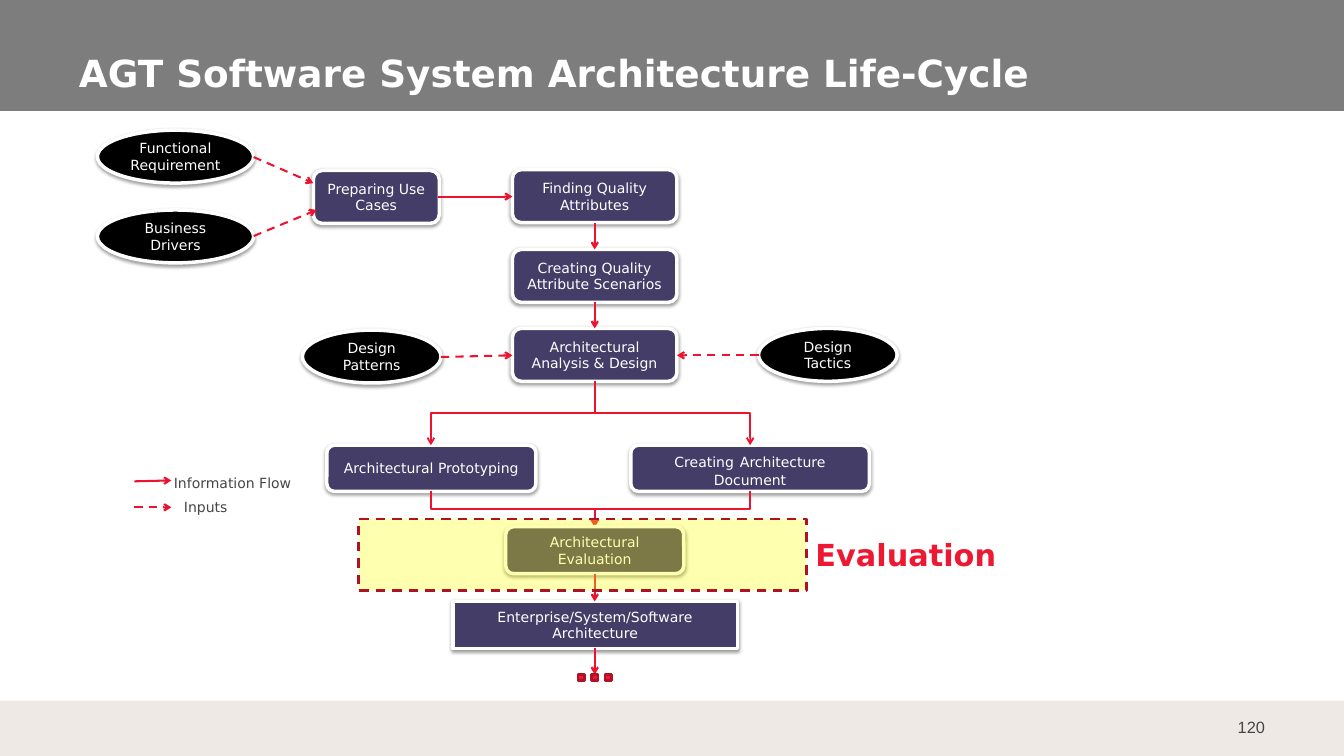
from lxml.etree import SubElement
from pptx import Presentation
from pptx.dml.color import RGBColor
from pptx.enum.dml import MSO_LINE
from pptx.enum.shapes import MSO_CONNECTOR, MSO_SHAPE
from pptx.enum.text import MSO_ANCHOR, MSO_AUTO_SIZE, PP_ALIGN
from pptx.oxml.ns import qn
from pptx.util import Inches, Pt

WHITE, BLACK, GREY, PURPLE = "FFFFFF", "000000", "464646", "443D67"
ARROW, RED, DARK_RED = "ED132E", "ED1933", "AF1226"
AXIS = 7.08  # centre of the main column


def color(code):
    return RGBColor.from_string(code)


class LifeCycleSlide:
    font = "DejaVu Sans"

    def __init__(self, deck):
        self.slide = deck.slides.add_slide(deck.slide_layouts[5])
        self.shapes = self.slide.shapes

    def set_text(self, frame, lines, size, code, bold=False, align=PP_ALIGN.LEFT, font=None):
        for index, line in enumerate(lines):
            para = frame.paragraphs[0] if index == 0 else frame.add_paragraph()
            para.text = line
            para.alignment = align
            para.font.name = font or self.font
            para.font.size = Pt(size)
            para.font.bold = bold
            para.font.color.rgb = color(code)

    def title(self, text, left, top, width, height):
        box = self.shapes.title
        box.left, box.top, box.width, box.height = map(Inches, (left, top, width, height))
        frame = box.text_frame
        frame.auto_size = MSO_AUTO_SIZE.NONE
        frame.vertical_anchor = MSO_ANCHOR.BOTTOM
        frame.margin_left = frame.margin_right = Inches(0.14)
        frame.margin_top = frame.margin_bottom = Inches(0.07)
        self.set_text(frame, [text], 32, WHITE, bold=True)
        self.shapes.element.append(box.element)  # in front of the header band

    def shape(self, kind, left, top, width, height, fill, line=None, line_width=2, group=None):
        shape = (group or self.slide).shapes.add_shape(
            kind, *map(Inches, (left, top, width, height)))
        shape.shadow.inherit = False
        shape.fill.solid()
        shape.fill.fore_color.rgb = color(fill)
        if line:
            shape.line.color.rgb = color(line)
            shape.line.width = Pt(line_width)
        else:
            shape.line.fill.background()
        return shape

    def node(self, kind, left, top, width, height, fill, *lines):
        shape = self.shape(kind, left, top, width, height, fill, WHITE, 3)
        effects = shape.element.spPr.find(qn("a:effectLst"))
        shadow = SubElement(effects, qn("a:outerShdw"), blurRad=str(Pt(3.1)),
                            dist=str(Pt(1.6)), dir="5400000", rotWithShape="0")
        shade = SubElement(shadow, qn("a:srgbClr"), val=BLACK)
        SubElement(shade, qn("a:alpha"), val="38000")
        shape.text_frame.vertical_anchor = MSO_ANCHOR.MIDDLE
        self.set_text(shape.text_frame, lines, 12, WHITE, align=PP_ALIGN.CENTER)
        return shape

    def step(self, left, top, width, height, *lines):
        return self.node(MSO_SHAPE.ROUNDED_RECTANGLE, left, top, width, height, PURPLE, *lines)

    def label(self, left, top, width, height, text, size, code, margins=(0, 0),
              bold=False, align=PP_ALIGN.LEFT, font=None, anchor=MSO_ANCHOR.TOP):
        box = self.shapes.add_textbox(*map(Inches, (left, top, width, height)))
        frame = box.text_frame
        frame.margin_left = frame.margin_right = Inches(margins[0])
        frame.margin_top = frame.margin_bottom = Inches(margins[1])
        frame.vertical_anchor = anchor
        # Right-aligned text needs the full box width
        frame.word_wrap = align == PP_ALIGN.RIGHT
        self.set_text(frame, [text], size, code, bold, align, font)

    def arrow(self, x1, y1, x2, y2, width=1.75, dashed=False, kind=MSO_CONNECTOR.STRAIGHT):
        connector = self.shapes.add_connector(kind, *map(Inches, (x1, y1, x2, y2)))
        connector.line.color.rgb = color(ARROW)
        connector.line.width = Pt(width)
        if dashed:
            connector.line.dash_style = MSO_LINE.DASH
        properties = connector.element.spPr
        SubElement(properties.find(qn("a:ln")), qn("a:tailEnd"), type="arrow")
        SubElement(properties, qn("a:effectLst"))
        return connector

    def elbow(self, x1, y1, x2, y2, width):
        """Arrow that runs down, across and down: a turned elbow connector."""
        run, rise = y2 - y1, abs(x2 - x1)
        left, top = (x1 + x2 - run) / 2, (y1 + y2 - rise) / 2
        connector = self.arrow(left, top, left + run, top + rise, width,
                               kind=MSO_CONNECTOR.ELBOW)
        frame = connector.element.spPr.find(qn("a:xfrm"))
        if x2 < x1:
            frame.set("rot", "5400000")
        else:
            frame.set("rot", "16200000")
            frame.set("flipH", "1")


def main():
    deck = Presentation()
    deck.slide_width, deck.slide_height = Inches(16), Inches(9)
    page = LifeCycleSlide(deck)

    # Header, footer and title
    page.shape(MSO_SHAPE.RECTANGLE, -0.02, 0, 16.05, 1.32, "7D7D7D")
    page.shape(MSO_SHAPE.RECTANGLE, 0, 8.34, 16, 0.66, "EFE9E5")
    page.label(14.4, 8.42, 0.8, 0.48, "120", 14, GREY, (0.14, 0.07),
               align=PP_ALIGN.RIGHT, font="Arial", anchor=MSO_ANCHOR.MIDDLE)
    page.title("AGT Software System Architecture Life-Cycle", 0.8, 0.46, 14.21, 0.74)

    # Inputs
    for left, top, width, text in (
            (1.16, 1.55, 1.86, "Functional Requirement"),
            (1.16, 2.5, 1.86, "Business Drivers"),
            (3.6, 3.93, 1.65, "Design Patterns"),
            (9.03, 3.91, 1.65, "Design Tactics")):
        page.node(MSO_SHAPE.OVAL, left, top, width, 0.63, BLACK, text)

    # Steps
    page.step(3.73, 2.03, 1.5, 0.63, "Preparing Use Cases")
    page.step(6.1, 2.02, 1.96, 0.63, "Finding Quality Attributes")
    page.step(6.1, 2.97, 1.96, 0.63, "Creating Quality", "Attribute Scenarios")
    page.step(6.1, 3.91, 1.96, 0.63, "Architectural", "Analysis & Design")
    page.step(3.89, 5.3, 2.49, 0.55, "Architectural Prototyping")
    document = page.step(7.51, 5.3, 2.84, 0.55, "")
    para = document.text_frame.paragraphs[0]
    for text in ("Creating", " ", "Architecture", " ", "Document"):
        span = para.add_run()
        span.text = text
        span.font.size = Pt(16 if text == " " else 12)
    result = page.step(5.39, 7.16, 3.39, 0.56, "Enterprise/System/Software Architecture")
    result.adjustments[0] = 0

    # Branches to and from the two middle steps
    for branch in (5.13, 8.93):
        page.elbow(AXIS, 4.54, branch, 5.3, 1.5)
        page.elbow(branch, 5.85, AXIS, 6.27, 2)
    page.step(6.02, 6.27, 2.12, 0.56, "Architectural Evaluation")

    # Information flow
    page.arrow(5.22, 2.34, 6.1, 2.34)
    for start, end in ((2.65, 2.97), (3.6, 3.91), (6.83, 7.16), (7.71, 8.03)):
        page.arrow(AXIS, start, AXIS, end)

    # Input arrows
    for ends in ((3.02, 1.87, 3.73, 2.18), (3.02, 2.81, 3.77, 2.5),
                 (5.25, 4.25, 6.1, 4.23), (9.03, 4.23, 8.06, 4.23)):
        page.arrow(*ends, dashed=True)

    # Continuation dots
    dots = page.shapes.add_group_shape()
    for index in range(3):
        page.shape(MSO_SHAPE.RECTANGLE, 6.88 + 0.16 * index, 8.03, 0.08, 0.07,
                   RED, DARK_RED, group=dots)

    # Legend
    page.arrow(1.6, 5.73, 2.04, 5.72)
    page.label(2.07, 5.65, 1.42, 0.24, "Information Flow", 12, GREY)
    page.arrow(1.6, 6.04, 2.04, 6.04, dashed=True)
    page.label(2.19, 5.94, 1.42, 0.24, "Inputs", 12, GREY)

    # Evaluation highlight
    highlight = page.shape(MSO_SHAPE.RECTANGLE, 4.27, 6.18, 5.33, 0.85, "FFFF00", DARK_RED)
    highlight.line.dash_style = MSO_LINE.DASH
    tint = highlight.element.spPr.find(qn("a:solidFill")).find(qn("a:srgbClr"))
    SubElement(tint, qn("a:alpha"), val="31000")
    page.label(9.61, 6.33, 2.36, 0.54, "Evaluation", 26, RED, (0.1, 0.05), bold=True)

    deck.save("out.pptx")


if __name__ == "__main__":
    main()
